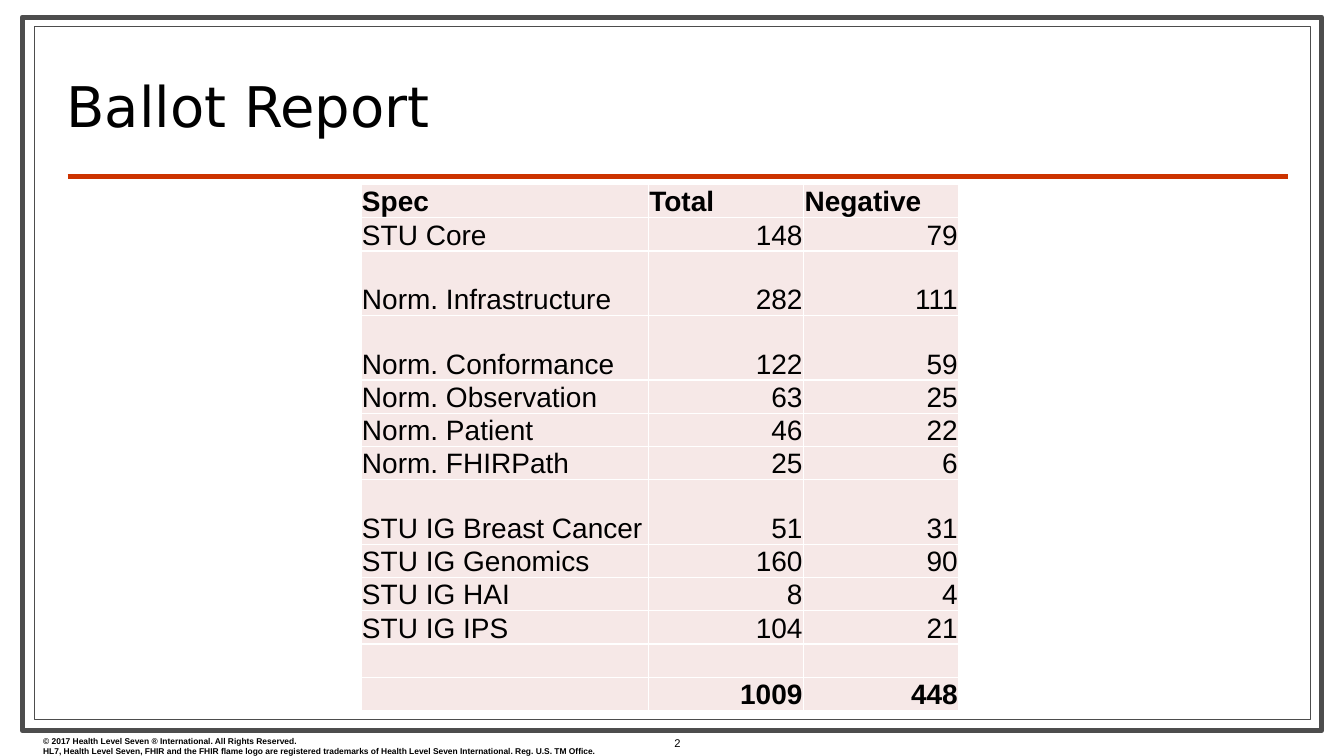
from dataclasses import dataclass

from lxml import etree
from pptx import Presentation, util as u
from pptx.dml.color import RGBColor
from pptx.enum import shapes, text
from pptx.oxml.ns import qn


@dataclass(frozen=True)
class Theme:
    ink: str = "000000"
    paper: str = "FFFFFF"
    frame: str = "4D4D4D"
    rule: str = "CC3300"
    cell: str = "F6E8E7"
    heading_font: str = "DejaVu Sans"
    body_font: str = "Arial"
    heading: float = 40
    body: float = 20
    page: float = 8
    legal: float = 6


THEME = Theme()
WIDTH, HEIGHT = 13.33, 7.5
ROW, TALL_ROW = 0.33, 0.64
COLUMNS = (2.85, 1.54, 1.54)
HEADER = ("Spec", "Total", "Negative")
BALLOTS = (
    ("STU Core", 148, 79),
    ("Norm. Infrastructure", 282, 111),
    ("Norm. Conformance", 122, 59),
    ("Norm. Observation", 63, 25),
    ("Norm. Patient", 46, 22),
    ("Norm. FHIRPath", 25, 6),
    ("STU IG Breast Cancer", 51, 31),
    ("STU IG Genomics", 160, 90),
    ("STU IG HAI", 8, 4),
    ("STU IG IPS", 104, 21),
)
TALL_SPECS = {"Norm. Infrastructure", "Norm. Conformance", "STU IG Breast Cancer"}
LEGAL = (
    "© 2017 Health Level Seven ® International. All Rights Reserved.",
    "HL7, Health Level Seven, FHIR and the FHIR flame logo are registered trademarks "
    "of Health Level Seven International. Reg. U.S. TM Office.",
)


def inches(*lengths):
    return [u.Inches(length) for length in lengths]


def color(value):
    return RGBColor.from_string(value)


def set_font(paragraph, size, name=THEME.body_font, bold=False):
    font = paragraph.font
    font.name, font.size, font.bold = name, u.Pt(size), bold
    font.color.rgb = color(THEME.ink)


def add_frame(slide, box):
    """Draw the heavy outer border and the thin one inside it."""
    left, top, width, height = box
    inner = (left + 0.12, top + 0.09, width - 0.23, height - 0.2)
    for bounds, weight in ((box, 3.5), (inner, 0.75)):
        border = slide.shapes.add_shape(shapes.MSO_SHAPE.RECTANGLE, *inches(*bounds))
        border.shadow.inherit = False
        border.fill.solid()
        border.fill.fore_color.rgb = color(THEME.paper)
        border.line.color.rgb = color(THEME.frame)
        border.line.width = u.Pt(weight)


def add_heading(slide, box, rule_width):
    left, top, width, height = box
    title = slide.shapes.title
    title.left, title.top, title.width, title.height = inches(*box)
    frame = title.text_frame
    frame.text = "Ballot Report"
    frame.vertical_anchor = text.MSO_ANCHOR.BOTTOM
    paragraph = frame.paragraphs[0]
    paragraph.alignment = text.PP_ALIGN.LEFT
    paragraph.line_spacing = 0.8
    set_font(paragraph, THEME.heading, THEME.heading_font)
    # The title has to sit in front of the filled frame.
    slide.shapes._spTree.append(title._element)

    start, level = left + 0.11, top + height + 0.33
    rule = slide.shapes.add_connector(
        shapes.MSO_CONNECTOR.STRAIGHT, *inches(start, level, start + rule_width, level))
    rule.line.color.rgb = color(THEME.rule)
    rule.line.width = u.Pt(3)
    etree.SubElement(rule._element.spPr, qn("a:effectLst"))


def add_borders(cell):
    """Outline a cell; borders must precede the fill in its properties."""
    properties = cell._tc.get_or_add_tcPr()
    for position, side in enumerate(("a:lnL", "a:lnR", "a:lnT", "a:lnB")):
        line = etree.Element(qn(side), w=str(u.Pt(1)))
        fill = etree.SubElement(line, qn("a:solidFill"))
        etree.SubElement(fill, qn("a:srgbClr"), val=THEME.paper)
        properties.insert(position, line)


def fill_cell(cell, value, bold):
    cell.margin_left = cell.margin_right = cell.margin_top = u.Inches(0.01)
    cell.margin_bottom = 0
    cell.vertical_anchor = text.MSO_ANCHOR.BOTTOM
    cell.fill.solid()
    cell.fill.fore_color.rgb = color(THEME.cell)
    add_borders(cell)
    cell.text = str(value)
    paragraph = cell.text_frame.paragraphs[0]
    if isinstance(value, int):
        paragraph.alignment = text.PP_ALIGN.RIGHT
    set_font(paragraph, THEME.body, bold=bold)


def add_ballot_table(slide, left, top):
    totals = ("", *(sum(votes) for votes in list(zip(*BALLOTS))[1:]))
    rows = (HEADER, *BALLOTS, ("", "", ""), totals)
    heights = [TALL_ROW if row[0] in TALL_SPECS else ROW for row in rows]
    table = slide.shapes.add_table(
        len(rows), len(COLUMNS), *inches(left, top, sum(COLUMNS), sum(heights))).table
    table.first_row = table.horz_banding = False
    for column, width in zip(table.columns, COLUMNS):
        column.width = u.Inches(width)
    for line, values, height in zip(table.rows, rows, heights):
        line.height = u.Inches(height)
        for cell, value in zip(line.cells, values):
            fill_cell(cell, value, bold=values in (HEADER, totals))


def add_note(slide, box, lines, size, bold=False, align=text.PP_ALIGN.LEFT,
             anchor=text.MSO_ANCHOR.TOP):
    frame = slide.shapes.add_textbox(*inches(*box)).text_frame
    frame.word_wrap = True
    frame.vertical_anchor = anchor
    frame.text = "\n".join(lines)
    for paragraph in frame.paragraphs:
        paragraph.alignment = align
        set_font(paragraph, size, bold=bold)


def add_footer(slide, top):
    add_note(slide, (0.33, top, 6.44, 0.3), LEGAL, THEME.legal, bold=True)
    add_note(slide, (6.33, top, 0.78, 0.25), ["2"], THEME.page,
             align=text.PP_ALIGN.CENTER, anchor=text.MSO_ANCHOR.MIDDLE)


def main():
    deck = Presentation()
    deck.slide_width, deck.slide_height = inches(WIDTH, HEIGHT)
    slide = deck.slides.add_slide(deck.slide_layouts[5])
    add_frame(slide, (0.22, 0.17, 12.89, 7.08))
    add_heading(slide, (0.56, 0.52, 10.2, 0.9), rule_width=12.1)
    add_ballot_table(slide, 3.58, 1.83)
    add_footer(slide, 7.25)
    deck.save("out.pptx")


if __name__ == "__main__":
    main()
